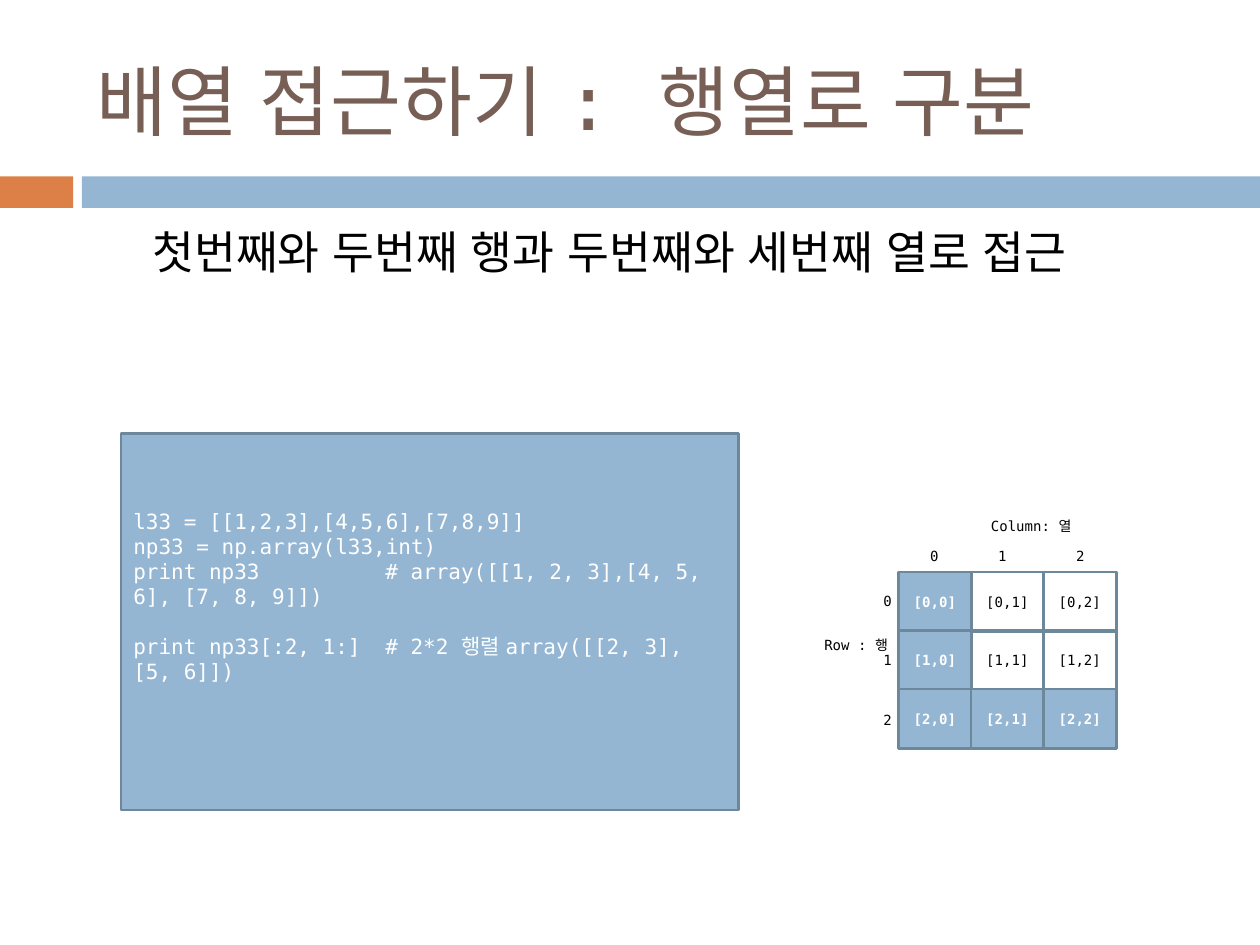
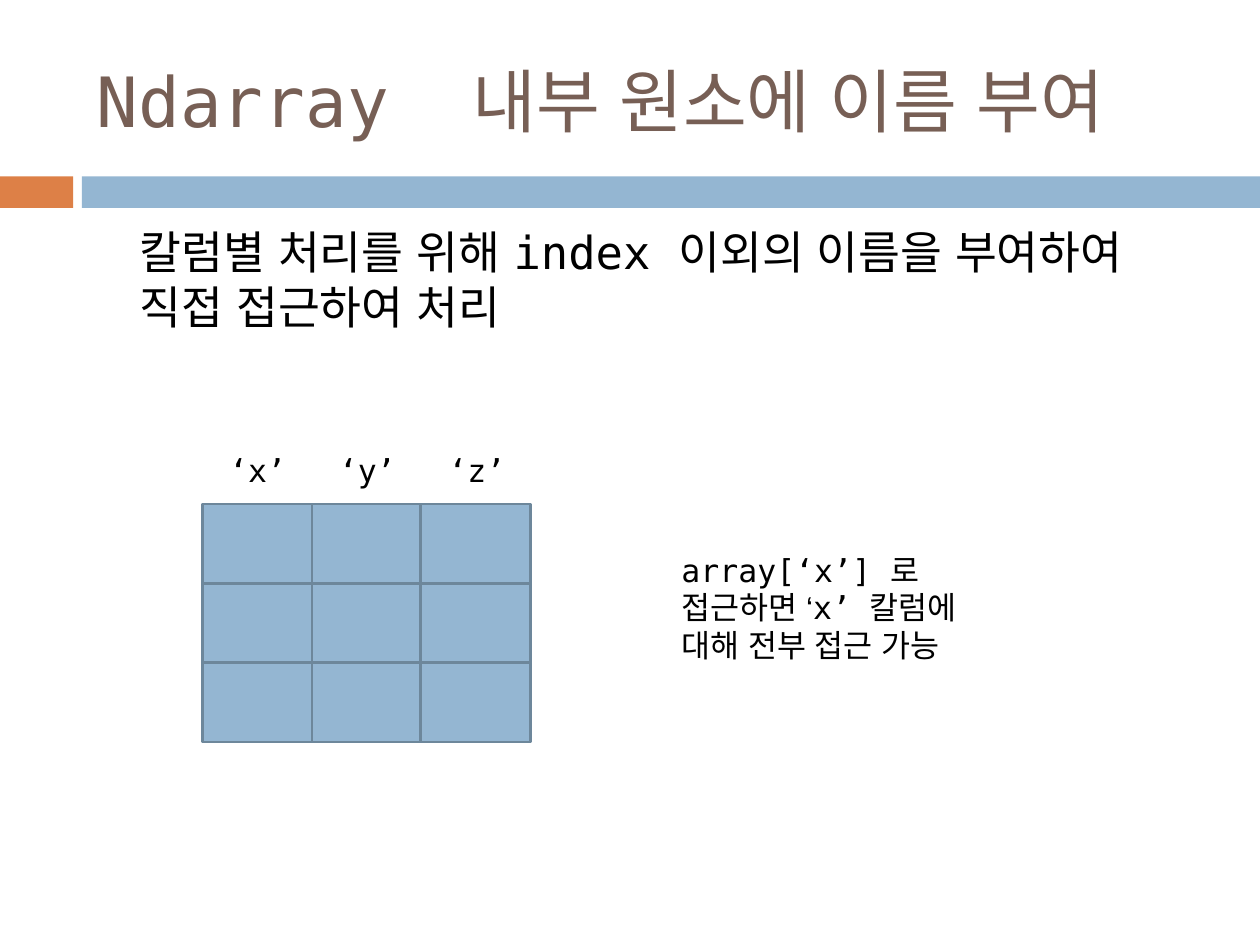
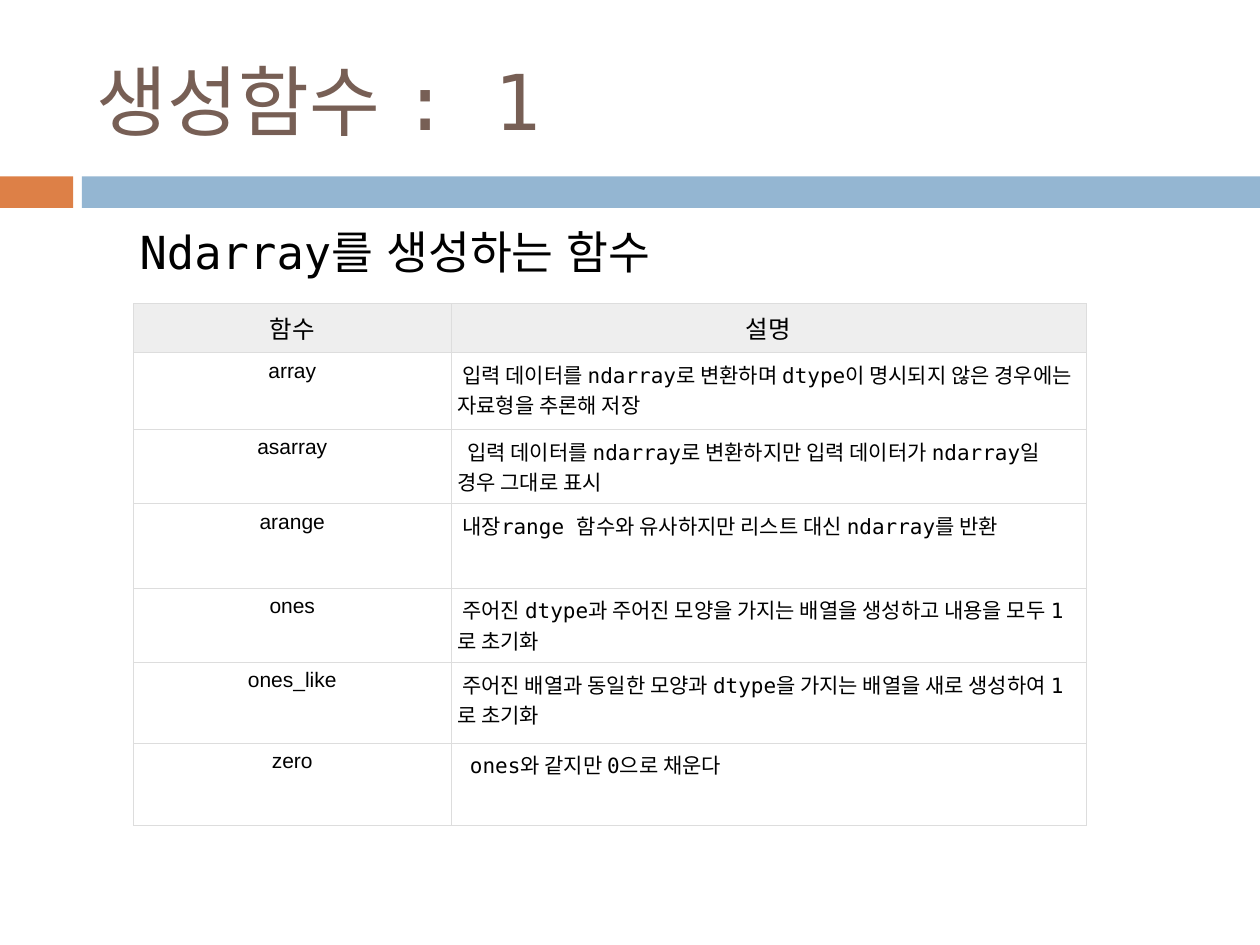
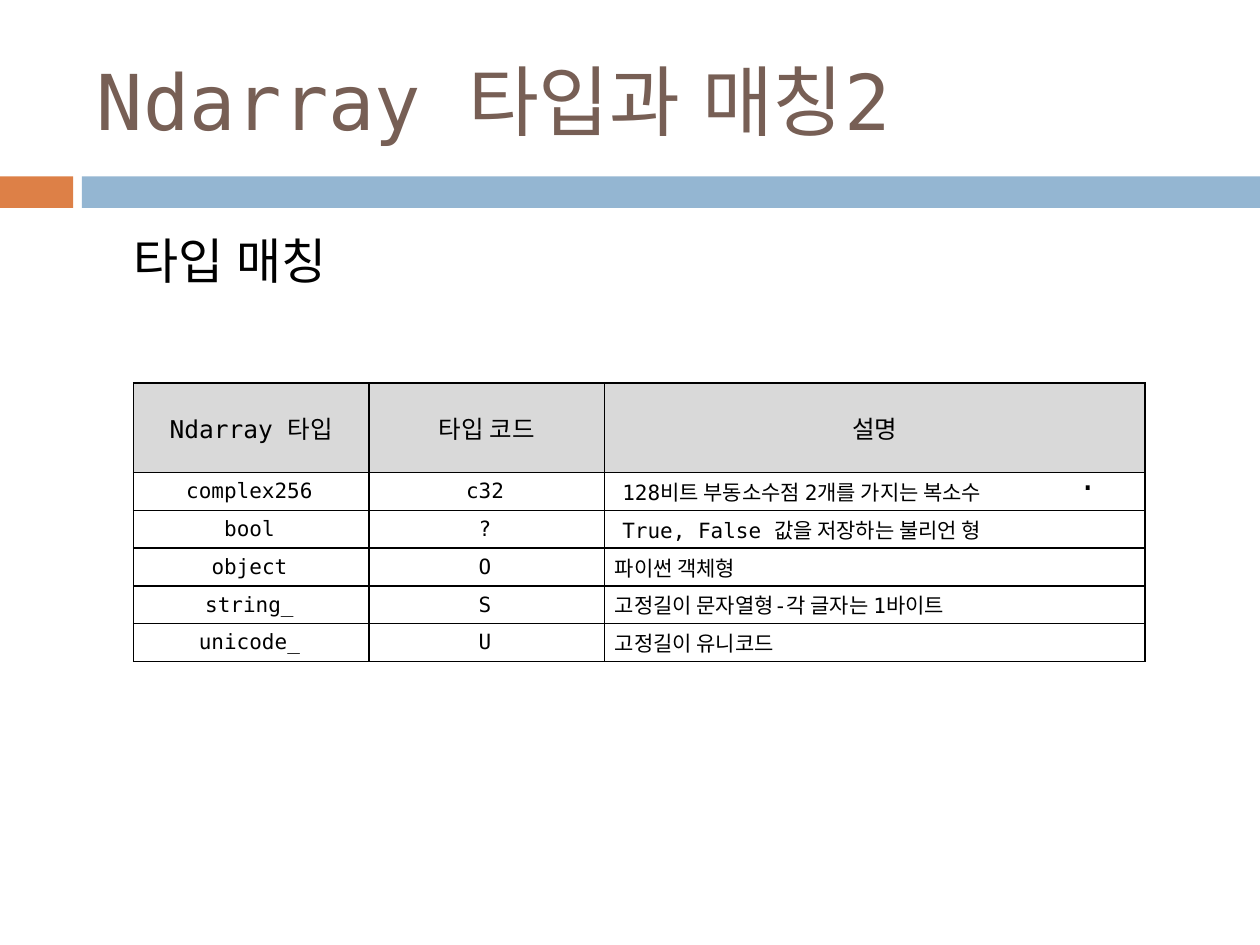
from lxml import etree
from pptx import Presentation
from pptx.dml.color import RGBColor
from pptx.enum.shapes import MSO_SHAPE
from pptx.enum.text import MSO_ANCHOR, PP_ALIGN
from pptx.oxml.ns import qn
from pptx.util import Inches, Pt

RECTANGLE = MSO_SHAPE.RECTANGLE
TOP, MIDDLE = MSO_ANCHOR.TOP, MSO_ANCHOR.MIDDLE
LEFT, CENTER = PP_ALIGN.LEFT, PP_ALIGN.CENTER
MONO, SANS = "DejaVu Sans Mono", "Arial"
BLANK_LAYOUT = 6

COLORS = {
    "title": "775F55",
    "text": "000000",
    "white": "FFFFFF",
    "accent": "DD8047",
    "blue": "94B6D2",
    "outline": "6D879B",
    "header_light": "EEEEEE",
    "border_light": "DDDDDD",
    "header_gray": "D9D9D9",
}


def color_of(name):
    return RGBColor.from_string(COLORS[name])


def write_text(frame, text, size=18, color="text", font=MONO, east_asian=SANS,
               bold=False, align=LEFT, margin=0, first_indent=0, before=0,
               gaps=None, first_space=0):
    """Fill a text frame, one paragraph a line.

    gaps maps line numbers to space before; first_space widens the first space, in points.
    """
    frame.word_wrap = True
    for number, line in enumerate(text.split("\n")):
        para = frame.paragraphs[0] if number == 0 else frame.add_paragraph()
        para.alignment = align
        para.space_before = Pt((gaps or {}).get(number, before))
        properties = para._p.get_or_add_pPr()
        properties.set("marL", str(Inches(margin)))
        properties.set("indent", str(Inches(first_indent)))
        for part in line.partition(" ") if first_space else (line,):
            span = para.add_run()
            span.text = part
            span.font.size = Pt(size)
            span.font.bold = bold
            span.font.name = font
            span.font.color.rgb = color_of(color)
            span_properties = span._r.get_or_add_rPr()
            if east_asian:
                etree.SubElement(span_properties, qn("a:ea"), typeface=east_asian)
            if part == " ":
                span_properties.set("spc", str(first_space * 100))


def set_insets(target, insets):
    (target.margin_left, target.margin_top,
     target.margin_right, target.margin_bottom) = map(Inches, insets)


def set_borders(cell, color, width):
    properties = cell._tc.get_or_add_tcPr()
    for position, side in enumerate(("lnL", "lnR", "lnT", "lnB")):
        line = etree.Element(qn(f"a:{side}"), w=str(Pt(width)))
        fill = etree.SubElement(line, qn("a:solidFill"))
        etree.SubElement(fill, qn("a:srgbClr"), val=COLORS[color])
        properties.insert(position, line)


class Deck:
    def __init__(self):
        self.deck = Presentation()
        self.deck.slide_width = Inches(10)
        self.deck.slide_height = Inches(7.5)
        self.page = None
        self.home = None

    def new_page(self, title, size=44, **style):
        """Start a slide with its two bands and its title."""
        layout = self.deck.slide_layouts[BLANK_LAYOUT]
        self.page = self.deck.slides.add_slide(layout)
        self.home = self.page.shapes
        self.box(0, 1.4, 0.58, 0.25, fill="accent", line=None)
        self.box(0.65, 1.4, 9.35, 0.25, line=None)
        self.text(0.67, 0.25, 8.92, 1.08, title, anchor=MIDDLE,
                  size=size, color="title", **style)

    def start_group(self):
        self.home = self.page.shapes.add_group_shape().shapes

    def end_group(self):
        self.home = self.page.shapes

    def box(self, left, top, width, height, text=None, fill="blue",
            line="outline", bottom_inset=0.05, **style):
        box = self.home.add_shape(RECTANGLE, *map(Inches, (left, top, width, height)))
        box.shadow.inherit = False
        if fill:
            box.fill.solid()
            box.fill.fore_color.rgb = color_of(fill)
        else:
            box.fill.background()
        if line:
            box.line.color.rgb = color_of(line)
            box.line.width = Pt(1.5)
        else:
            box.line.fill.background()
        if text:
            box.text_frame.vertical_anchor = MIDDLE
            box.text_frame.margin_bottom = Inches(bottom_inset)
            write_text(box.text_frame, text, **style)

    def text(self, left, top, width, height, text, anchor=TOP, **style):
        box = self.home.add_textbox(*map(Inches, (left, top, width, height)))
        box.text_frame.vertical_anchor = anchor
        write_text(box.text_frame, text, **style)

    def body(self, text, top=1.73, height=1.47, size=26, margin=0.5):
        self.text(0.51, top, 9, height, text, size=size, margin=margin, before=5.5)

    def table(self, left, top, widths, heights, rows, header_fill, border,
              header_insets, body_insets, anchor, name_font=MONO, indents=()):
        """Draw a table whose last column is left-aligned, with a first-line indent per row."""
        frame = self.home.add_table(len(rows), len(widths), *map(
            Inches, (left, top, sum(widths), sum(heights))))
        table = frame.table
        table.first_row = table.horz_banding = False
        for column, width in zip(table.columns, widths):
            column.width = Inches(width)
        for row, height in zip(table.rows, heights):
            row.height = Inches(height)
        for row_number, row in enumerate(rows):
            for column_number, text in enumerate(row):
                cell = table.cell(row_number, column_number)
                header = row_number == 0
                last = column_number == len(row) - 1
                described = last and not header
                if header:
                    cell.fill.solid()
                    cell.fill.fore_color.rgb = color_of(header_fill)
                else:
                    cell.fill.background()
                set_borders(cell, *border)
                set_insets(cell, header_insets if header else body_insets)
                cell.vertical_anchor = anchor
                write_text(cell.text_frame, text, size=14 if header else 12,
                           font=MONO if header or last else name_font,
                           east_asian=None,
                           align=LEFT if described else CENTER,
                           first_indent=indents[row_number - 1] if described else 0)

    def save(self):
        self.deck.save("out.pptx")


def add_slicing_page(deck):
    deck.new_page("배열 접근하기 : 행열로 구분")
    deck.body("첫번째와 두번째 행과 두번째와 세번째 열로 접근", margin=0.6)

    deck.start_group()
    small = {"size": 8, "align": CENTER}
    for row in range(3):
        for column in range(3):
            selected = row < 2 and column > 0
            deck.box(7.13 + 0.575 * column, 4.54 + 0.465 * row, 0.58, 0.47,
                     f"[{row},{column}]", fill=None if selected else "blue",
                     color="text" if selected else "white",
                     bold=not selected, **small)
    deck.text(6.39, 5, 0.81, 0.55, "Row : 행", **small)
    deck.text(7.62, 4.06, 1.13, 0.35, "Column: 열", **small)
    for index, column_left in enumerate((7.27, 7.81, 8.43)):
        deck.text(6.9, 4.65 + 0.475 * index, 0.29, 0.35, str(index), **small)
        deck.text(column_left, 4.3, 0.29, 0.35, str(index), **small)
    deck.end_group()

    code = "\n".join((
        "l33 = [[1,2,3],[4,5,6],[7,8,9]]",
        "np33 = np.array(l33,int)",
        "print np33\t\t# array([[1, 2, 3],[4, 5, 6], [7, 8, 9]])",
        "print np33[:2, 1:]\t# 2*2 행렬 array([[2, 3], [5, 6]])",
    ))
    deck.box(0.96, 3.44, 4.9, 2.99, code, size=12, color="white",
             bottom_inset=0.46, gaps={3: 14})


def add_names_page(deck):
    deck.new_page("Ndarray 내부 원소에 이름 부여", size=39.6, first_space=24)
    deck.body("칼럼별 처리를 위해 index 이외의 이름을 부여하여 직접 접근하여 처리")

    deck.start_group()
    for row in range(3):
        for column in range(3):
            deck.box(1.61 + 0.865 * column, 4 + 0.63 * row, 0.87, 0.63)
    deck.end_group()

    for column, name in enumerate("xyz"):
        deck.text(1.69 + 0.87 * column, 3.53, 0.71, 0.4, f"‘{name}’", align=CENTER)
    deck.text(5.31, 4.32, 2.91, 1.01,
              "array[‘x’] 로 접근하면 ‘x’ 칼럼에 대해 전부 접근 가능")


def add_functions_page(deck):
    deck.new_page("생성함수 : 1")
    deck.body("Ndarray를 생성하는 함수", height=0.61)
    rows = (
        ("함수", "설명"),
        ("array", "입력 데이터를 ndarray로 변환하며 dtype이 명시되지 않은 경우에는 자료형을 추론해 저장"),
        ("asarray", "입력 데이터를 ndarray로 변환하지만 입력 데이터가 ndarray일 경우 그대로 표시"),
        ("arange", "내장range 함수와 유사하지만 리스트 대신 ndarray를 반환"),
        ("ones", "주어진 dtype과 주어진 모양을 가지는 배열을 생성하고 내용을 모두 1로 초기화"),
        ("ones_like", "주어진 배열과 동일한 모양과 dtype을 가지는 배열을 새로 생성하여 1로 초기화"),
        ("zero", "ones와 같지만 0으로 채운다"),
    )
    insets = (0.05,) * 4
    deck.table(1.06, 2.41, (2.52, 5.04), (0.39, 0.61, 0.59, 0.67, 0.59, 0.64, 0.65),
               rows, "header_light", ("border_light", 0.6), insets, insets, TOP,
               name_font=SANS, indents=(0.04, 0.08, 0.04, 0.04, 0.04, 0.1))


def add_types_page(deck):
    deck.new_page("Ndarray 타입과 매칭2")
    deck.body("타입 매칭", top=1.78, height=0.94, size=28, margin=0.45)
    rows = (
        ("Ndarray 타입", "타입 코드", "설명"),
        ("complex256", "c32", "128비트 부동소수점 2개를 가지는 복소수"),
        ("bool", "?", "True, False 값을 저장하는 불리언 형"),
        ("object", "O", "파이썬 객체형"),
        ("string_", "S", "고정길이 문자열형-각 글자는 1바이트"),
        ("unicode_", "U", "고정길이 유니코드"),
    )
    deck.table(1.06, 3.04, (1.87, 1.87, 4.29), (0.71,) + (0.3,) * 5, rows,
               "header_gray", ("text", 1), (0.04, 0.02, 0.04, 0.02),
               (0.04, 0.01, 0.07, 0.01), MIDDLE, indents=(0.1, 0.1, 0.04, 0.04, 0.04))
    deck.text(8.46, 3.59, 1.5, 0.4, ".")


def main():
    deck = Deck()
    add_slicing_page(deck)
    add_names_page(deck)
    add_functions_page(deck)
    add_types_page(deck)
    deck.save()


if __name__ == "__main__":
    main()
